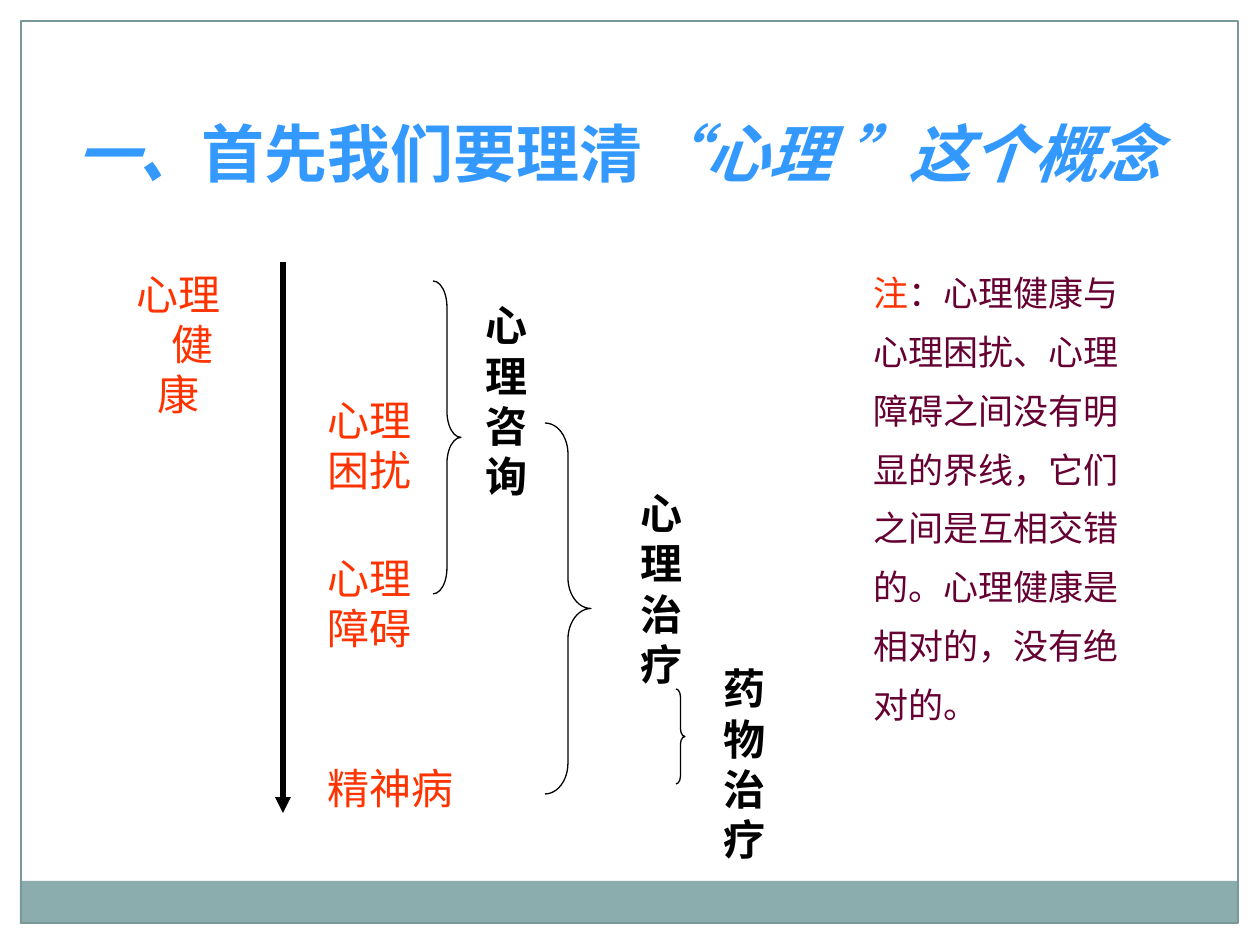
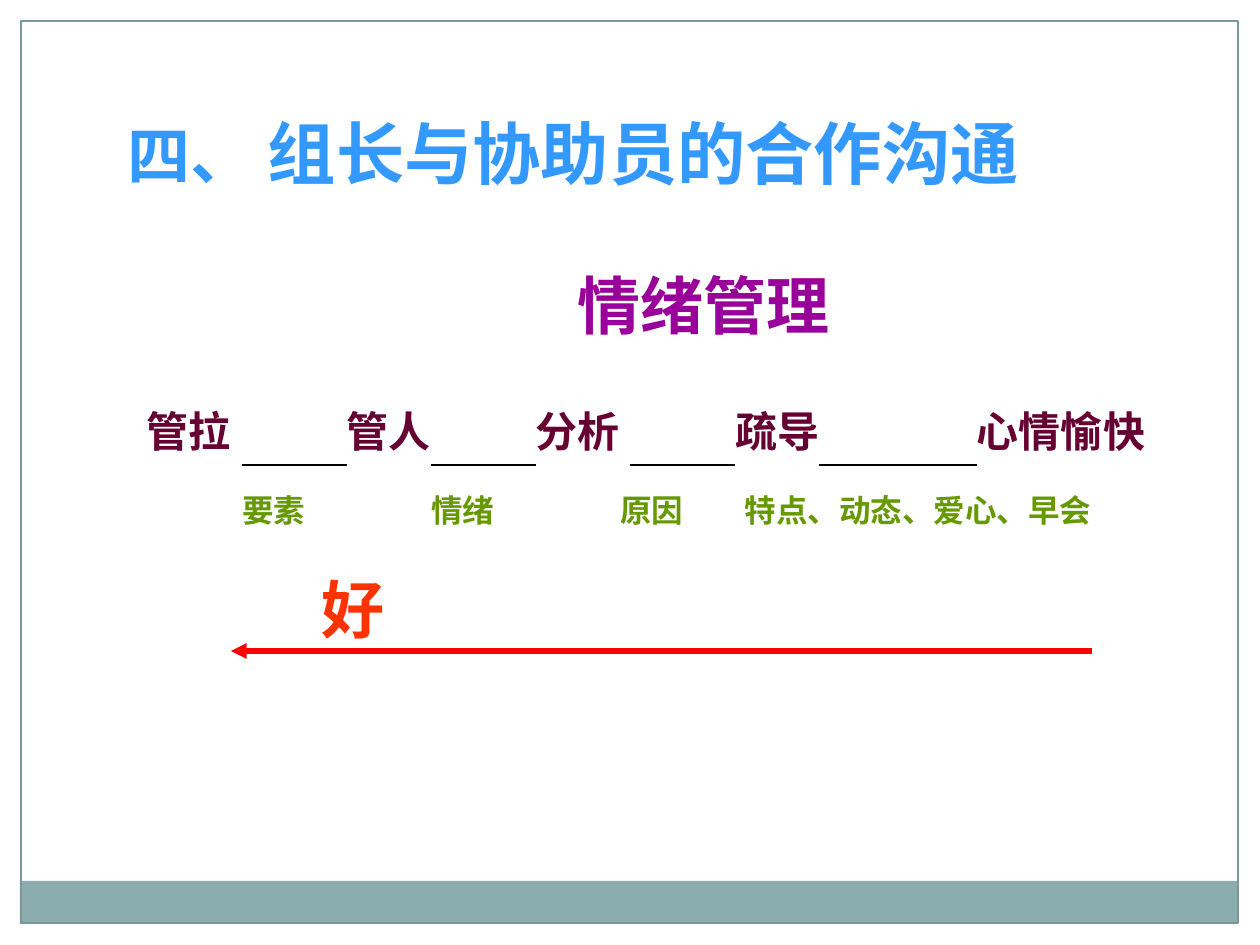
"""Build two slides on the idea of the mind and on managing moods."""
from collections import namedtuple
from lxml import etree
from pptx import Presentation
from pptx.dml.color import RGBColor
from pptx.enum.shapes import MSO_CONNECTOR, MSO_SHAPE
from pptx.enum.text import MSO_ANCHOR, MSO_AUTO_SIZE, PP_ALIGN
from pptx.oxml.ns import qn
from pptx.util import Emu, Pt

LEFT, CENTER = PP_ALIGN.LEFT, PP_ALIGN.CENTER
TOP, MIDDLE = MSO_ANCHOR.TOP, MSO_ANCHOR.MIDDLE
RECT, BRACE = MSO_SHAPE.RECTANGLE, MSO_SHAPE.RIGHT_BRACE
STRAIGHT, FIXED = MSO_CONNECTOR.STRAIGHT, MSO_AUTO_SIZE.NONE
PX = 914400 // 126

Theme = namedtuple("Theme", "font serif head big mid note small blue orange "
                   "plum purple green red black band edge thin thick")
T = Theme("Times New Roman", "TeX Gyre Schola", 36, 39, 24, 20, 18, "3399FF",
          "FF3300", "660033", "990099", "669900", "FF0000", "000000",
          "8CADAE", "7B9899", 0.75, 3)

BAND = (20, 881, 1217, 43)
FRAME = (21, 21, 1217, 902)

MIND = [("一、", {"italic": True}), ("首先我们要理清", {}),
        ("“心理 ”这个概念", {"italic": True})]
HEALTH = ["心理", "健", "康"]
STATES = [
    (["心理", "困扰"], (315, 388, 210, 116)),
    (["心理", "障碍"], (315, 546, 294, 116)),
    (["精神病"], (315, 756, 158, 63)),
]
CARES = [
    ("心理咨询", (470, 320, 74, 161)),
    ("心理治疗", (601, 522, 121, 132)),
    ("药物治疗", (703, 702, 84, 123)),
]
BRACES = [(433, 281, 28, 313), (545, 423, 46, 371), (676, 689, 9, 95)]
NOTE = [
    [("注", {"color": T.orange}), ("：心理健康与", {})],
    "心理困扰、心理", "障碍之间没有明", "显的界线，它们",
    "之间是互相交错", "的。心理健康是", "相对的，没有绝", "对的。",
]

TEAM = [("四、 ", {}), ("组长与协助员的合作沟通", {"size": T.big})]
STEPS = [("管拉", 136, 105), ("管人", 336, 105), ("分析", 525, 105),
         ("疏导", 725, 105), ("心情愉快", 977, 168)]
GAPS = [(242, 347), (431, 536), (630, 735), (819, 977)]
MEANS = [("要素", 221, 105), ("情绪", 410, 105), ("原因", 599, 105),
         ("特点、动态、爱心、早会", 829, 178)]


def scale(box):
    return [Emu(n * PX) for n in box]


def style(font, name=None, size=None, color=None, bold=None, italic=None):
    if name:
        font.name = name
    if size:
        font.size = Pt(size)
    if color:
        font.color.rgb = RGBColor.from_string(color)
    if bold is not None:
        font.bold = bold
    if italic is not None:
        font.italic = italic


def fill(frame, paras, size, color, bold=False, align=LEFT, anchor=TOP,
         name=T.font, space=None):
    frame.auto_size = FIXED
    frame.vertical_anchor = anchor
    for i, runs in enumerate(paras):
        para = frame.paragraphs[0] if i == 0 else frame.add_paragraph()
        para.alignment = align
        para.line_spacing = space
        style(para.font, name, size, color, bold)
        for words, extra in [(runs, {})] if isinstance(runs, str) else runs:
            run = para.add_run()
            run.text = words
            style(run.font, **extra)


def write(slide, paras, box, size, color, wrap=True, **look):
    frame = slide.shapes.add_textbox(*scale(box)).text_frame
    frame.word_wrap = wrap
    fill(frame, paras, size, color, **look)
    return frame


def label(slide, paras, box, size, color):
    write(slide, paras, box, size, color, wrap=False, bold=True,
          align=CENTER, anchor=MIDDLE)


def shape(slide, kind, box, paint=None, edge=None):
    item = slide.shapes.add_shape(kind, *scale(box))
    item.shadow.inherit = False
    if paint:
        item.fill.solid()
        item.fill.fore_color.rgb = RGBColor.from_string(paint)
    else:
        item.fill.background()
    if edge:
        item.line.color.rgb = RGBColor.from_string(edge)
        item.line.width = Pt(T.thin)
    else:
        item.line.fill.background()
    return item


def rule(slide, ends, color, width, arrow=False):
    item = slide.shapes.add_connector(STRAIGHT, *scale(ends))
    item.line.color.rgb = RGBColor.from_string(color)
    item.line.width = Pt(width)
    if arrow:
        tip = etree.SubElement(item.line._get_or_add_ln(), qn("a:tailEnd"))
        tip.set("type", "triangle")
    etree.SubElement(item._element.spPr, qn("a:effectLst"))


def start(deck, runs, left):
    slide = deck.slides.add_slide(deck.slide_layouts[5])
    shape(slide, RECT, BAND, paint=T.band)
    shape(slide, RECT, FRAME, edge=T.edge)
    title = slide.shapes.title
    title.left, title.top, title.width, title.height = scale(
        (left, 73, 1144, 158))
    title.text_frame.word_wrap = True
    fill(title.text_frame, [runs], T.head, T.blue, bold=True, anchor=MIDDLE)
    return slide


def mind(deck):
    slide = start(deck, MIND, 63)
    health = write(slide, HEALTH, (116, 262, 126, 136), T.mid, T.orange,
                   align=CENTER, name=T.serif)
    health.paragraphs[1]._p.get_or_add_pPr().set("marL", str(28 * PX))
    for paras, box in STATES:
        write(slide, paras, box, T.mid, T.orange)
    rule(slide, (283, 262, 283, 813), T.black, T.thick, arrow=True)
    for box in BRACES:
        brace = shape(slide, BRACE, box, edge=T.black)
        brace.adjustments[0] = box[3] / 12 / box[2]
    for word, box in CARES:
        label(slide, list(word), box, T.mid, T.black)
    write(slide, NOTE, (861, 305, 294, 370), T.note, T.plum,
          anchor=MIDDLE, space=1.4)


def mood(deck):
    slide = start(deck, TEAM, 115)
    label(slide, ["情绪管理"], (483, 262, 441, 84), T.head, T.purple)
    for word, left, width in STEPS:
        label(slide, [word], (left, 378, width, 105), T.mid, T.plum)
    for left, right in GAPS:
        rule(slide, (left, 465, right, 465), T.black, T.thin)
    for word, left, width in MEANS:
        label(slide, [word], (left, 483, width, 53), T.small, T.green)
    rule(slide, (1092, 651, 231, 651), T.red, T.thick, arrow=True)
    label(slide, ["好"], (305, 577, 95, 63), T.head, T.orange)


def main():
    deck = Presentation()
    deck.slide_width, deck.slide_height = scale((1260, 945))
    mind(deck)
    mood(deck)
    deck.save("out.pptx")


if __name__ == "__main__":
    main()
